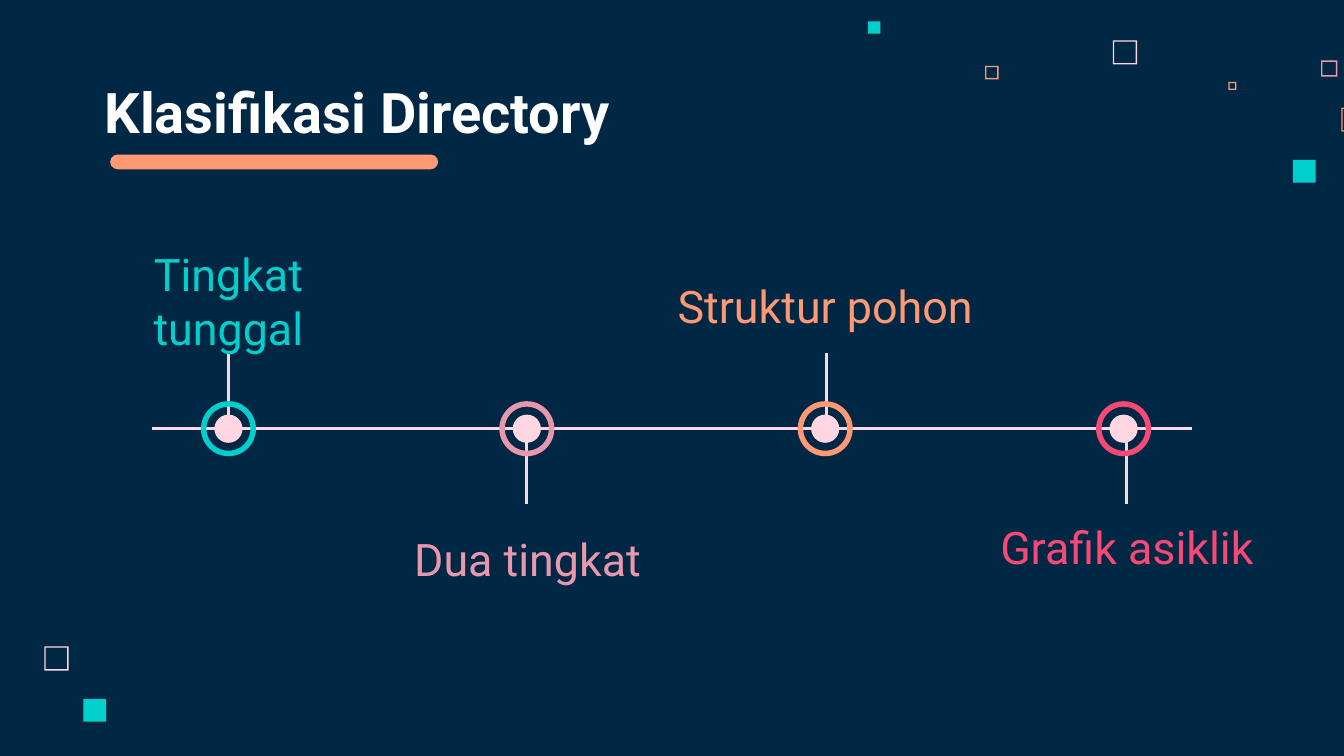
from lxml import etree
from pptx import Presentation
from pptx.dml.color import RGBColor
from pptx.enum.shapes import MSO_CONNECTOR, MSO_SHAPE
from pptx.enum.text import MSO_ANCHOR, PP_ALIGN
from pptx.oxml.ns import qn
from pptx.util import Inches, Pt

STRAIGHT = MSO_CONNECTOR.STRAIGHT
RECTANGLE, FRAME = MSO_SHAPE.RECTANGLE, MSO_SHAPE.FRAME
OVAL, DONUT, PILL = MSO_SHAPE.OVAL, MSO_SHAPE.DONUT, MSO_SHAPE.ROUNDED_RECTANGLE
MIDDLE, BOTTOM = MSO_ANCHOR.MIDDLE, MSO_ANCHOR.BOTTOM
LEFT, CENTER = PP_ALIGN.LEFT, PP_ALIGN.CENTER

NAVY = RGBColor(0x00, 0x28, 0x45)
WHITE = RGBColor(0xFF, 0xFF, 0xFF)
BLUSH = RGBColor(0xFF, 0xD6, 0xE1)
ROSE = RGBColor(0xE8, 0x98, 0xAC)
ORANGE = RGBColor(0xFF, 0x99, 0x73)
TEAL = RGBColor(0x00, 0xCF, 0xCC)
RED = RGBColor(0xF6, 0x49, 0x75)

prs = Presentation()
prs.slide_width = Inches(10)
prs.slide_height = Inches(10 * 9 / 16)
slide = prs.slides.add_slide(prs.slide_layouts[6])
slide.background.fill.solid()
slide.background.fill.fore_color.rgb = NAVY
shapes = slide.shapes


def add_filled(kind, left, top, width, height, color, adjustment=None):
    shape = shapes.add_shape(kind, Inches(left), Inches(top), Inches(width), Inches(height))
    shape.shadow.inherit = False
    shape.fill.solid()
    shape.fill.fore_color.rgb = color
    shape.line.fill.background()
    if adjustment is not None:
        shape.adjustments[0] = adjustment


def add_label(text, left, top, width, height, color, size, align, anchor, bold=False):
    frame = shapes.add_textbox(Inches(left), Inches(top), Inches(width), Inches(height)).text_frame
    frame.word_wrap = True
    frame.vertical_anchor = anchor
    frame.margin_left = frame.margin_right = Inches(0.1)
    frame.margin_top = frame.margin_bottom = Inches(0.1)
    paragraph = frame.paragraphs[0]
    paragraph.alignment = align
    run = paragraph.add_run()
    run.text = text
    run.font.name = "Roboto"
    run.font.size = Pt(size)
    run.font.bold = bold
    run.font.color.rgb = color


# Scattered squares: left, top, side, color
BORDER = 0.01
outlined_squares = [
    (8.28, 0.3, 0.18, BLUSH),
    (9.83, 0.45, 0.12, ROSE),
    (9.14, 0.61, 0.06, ORANGE),
    (9.98, 0.8, 0.18, ORANGE),
    (7.33, 0.49, 0.1, ORANGE),
    (0.33, 4.81, 0.18, BLUSH),
]
for left, top, side, color in outlined_squares:
    add_filled(FRAME, left, top, side, side, color, BORDER / side)

solid_squares = [(9.62, 1.19, 0.17), (6.46, 0.16, 0.09), (0.62, 5.2, 0.17)]
for left, top, side in solid_squares:
    add_filled(RECTANGLE, left, top, side, side, TEAL)

# Timeline axis and stems
AXIS_Y = 3.19
stems = [(1.7, 2.63, 3.13), (3.92, 3.26, 3.75), (6.15, 2.63, 3.13), (8.38, 3.26, 3.75)]
timeline_lines = [(x, top, x, bottom) for x, top, bottom in stems]
timeline_lines.append((1.13, AXIS_Y, 8.87, AXIS_Y))
for x1, y1, x2, y2 in timeline_lines:
    line = shapes.add_connector(STRAIGHT, Inches(x1), Inches(y1), Inches(x2), Inches(y2))
    line.line.color.rgb = BLUSH
    line.line.width = Pt(1.5)
    etree.SubElement(line._element.spPr, qn("a:effectLst"))

# Title and underline
add_label("Klasifikasi Directory", 0.68, 0.55, 5.17, 0.63, WHITE, 30, LEFT, BOTTOM, bold=True)
add_filled(PILL, 0.82, 1.15, 2.44, 0.11, ORANGE, 0.5)

# Stages: name, color, label left, top, width
stages = [
    ("Tingkat tunggal", TEAL, 0.5, 2, 2.4),
    ("Dua tingkat", ROSE, 2.57, 3.92, 2.71),
    ("Struktur pohon", ORANGE, 4.94, 2.04, 2.4),
    ("Grafik asiklik", RED, 7.34, 3.83, 2.09),
]
FIRST_X, STAGE_GAP = 1.7, 2.22
DOT, RING = 0.21, 0.41
for i, (name, color, left, top, width) in enumerate(stages):
    center = FIRST_X + i * STAGE_GAP
    add_filled(OVAL, center - DOT / 2, AXIS_Y - DOT / 2, DOT, DOT, BLUSH)
    add_filled(DONUT, center - RING / 2, AXIS_Y - RING / 2, RING, RING, color, 0.1)
    add_label(name, left, top, width, 0.47, color, 24, CENTER, MIDDLE)

prs.save("out.pptx")
